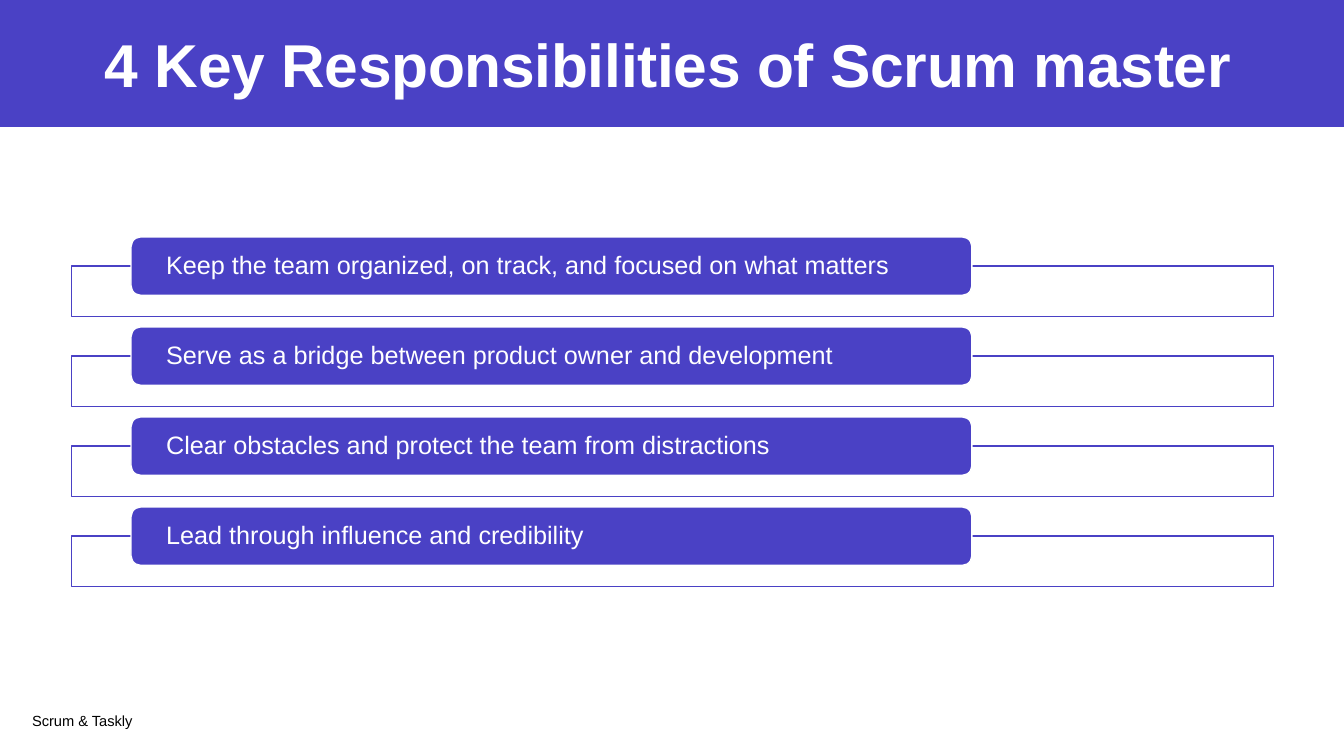
from pptx import Presentation
from pptx.dml.color import RGBColor
from pptx.enum.shapes import MSO_SHAPE as Shape
from pptx.enum.text import MSO_ANCHOR as Anchor, PP_ALIGN as Align
from pptx.oxml.ns import qn
from pptx.util import Inches, Pt
from lxml import etree

TITLE = "4 Key Responsibilities of Scrum master "
DUTIES = [
    "Keep the team organized, on track, and focused on what matters",
    "Serve as a bridge between product owner and development",
    "Clear obstacles and protect the team from distractions",
    "Lead through influence and credibility",
]
FOOTER = "Scrum & Taskly"
VIOLET, WHITE, BLACK = "4A41C5", "FFFFFF", "000000"
WIDTH, HEIGHT = 13.33, 7.5
TOP, STEP = 2.35, 0.893   # first label and the pitch of the rows
DROP = 0.29               # frame top below label top


def color(code):
    return RGBColor.from_string(code)


def add_box(slide, kind, place, fill, line=None):
    box = slide.shapes.add_shape(kind, *map(Inches, place))
    box.shadow.inherit = False
    box.fill.solid()
    box.fill.fore_color.rgb = color(fill)
    if line:
        box.line.color.rgb = color(line)
        box.line.width = Pt(1)
    else:
        box.line.fill.background()
    return box


def fade(box, share):
    """Set the opacity of a solid fill, in percent."""
    tone = box._element.spPr.find(qn("a:solidFill"))[0]
    etree.SubElement(tone, qn("a:alpha")).set("val", str(share * 1000))


def write(box, text, size, ink, bold=False, align=Align.LEFT,
          inset=(0.1, 0.05), lead=1.0, track=0):
    frame = box.text_frame
    frame.word_wrap = True
    frame.vertical_anchor = Anchor.MIDDLE
    frame.margin_left = frame.margin_right = Inches(inset[0])
    frame.margin_top = frame.margin_bottom = Inches(inset[1])
    par = frame.paragraphs[0]
    par.alignment = align
    par.line_spacing = lead
    run = par.add_run()
    run.text = text
    run.font.name = "Arial"
    run.font.size = Pt(size)
    run.font.bold = bold
    run.font.color.rgb = color(ink)
    if track:
        run.font._element.set("spc", str(track))


def main():
    deck = Presentation()
    deck.slide_width, deck.slide_height = Inches(WIDTH), Inches(HEIGHT)
    slide = deck.slides.add_slide(deck.slide_layouts[6])

    add_box(slide, Shape.RECTANGLE, (0, 0, WIDTH, 1.26), VIOLET)
    title = slide.shapes.add_textbox(*map(Inches, (0.49, 0.21, 12.43, 0.83)))
    write(title, TITLE, 43.2, WHITE, bold=True, align=Align.CENTER, track=-20)
    footer = slide.shapes.add_textbox(*map(Inches, (0.22, 6.95, 5.29, 0.4)))
    write(footer, FOOTER, 10.5, BLACK)

    for row, duty in enumerate(DUTIES):
        top = TOP + row * STEP
        frame = add_box(slide, Shape.RECTANGLE, (0.71, top + DROP, 11.92, 0.5),
                        WHITE, VIOLET)
        fade(frame, 90)
        label = add_box(slide, Shape.ROUNDED_RECTANGLE, (1.3, top, 8.34, 0.58),
                        VIOLET, WHITE)
        write(label, duty, 18, WHITE, inset=(0.32, 0), lead=0.9)

    deck.save("out.pptx")


if __name__ == "__main__":
    main()
